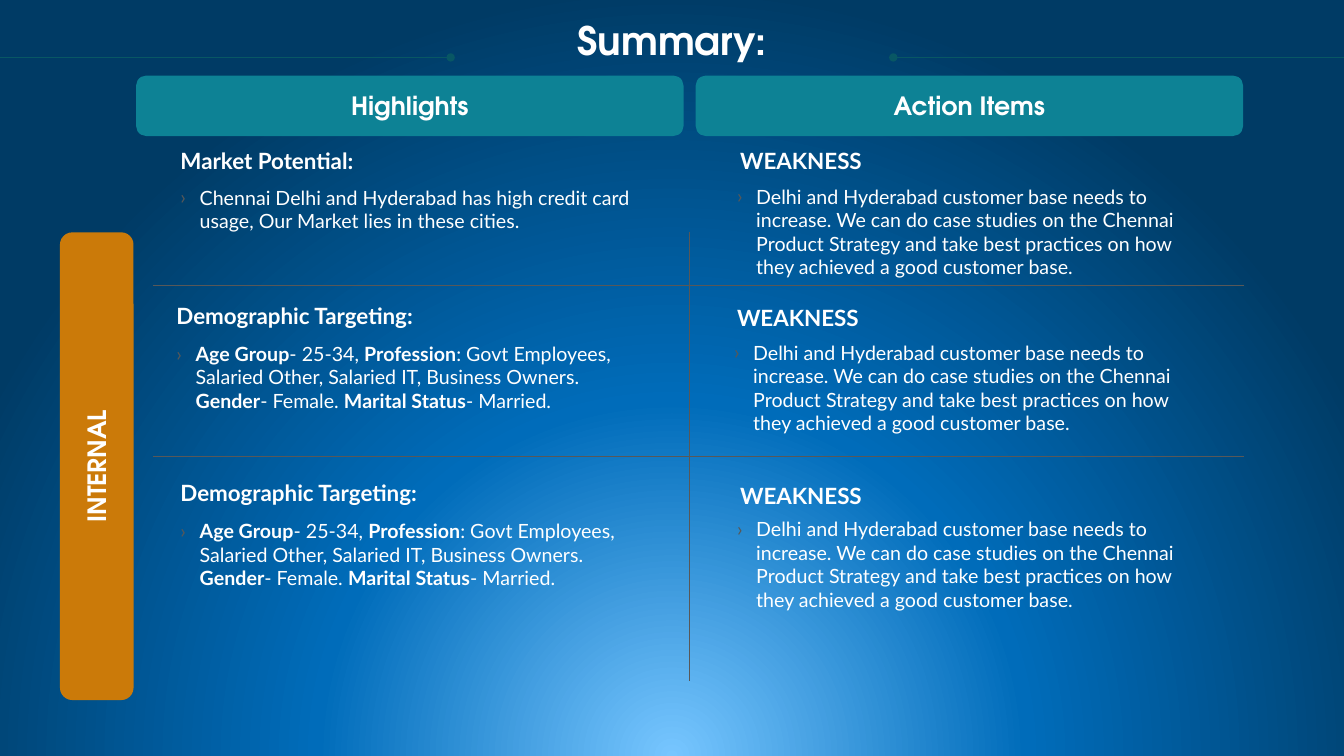
from pptx import Presentation
from pptx.dml.color import RGBColor
from pptx.enum.shapes import MSO_CONNECTOR, MSO_SHAPE
from pptx.enum.text import MSO_ANCHOR, MSO_AUTO_SIZE, PP_ALIGN
from pptx.oxml import parse_xml
from pptx.oxml.ns import nsdecls, qn
from pptx.util import Inches, Pt
from lxml import etree

STRAIGHT = MSO_CONNECTOR.STRAIGHT
ROUNDED = MSO_SHAPE.ROUNDED_RECTANGLE
CENTER = PP_ALIGN.CENTER
TOP, MIDDLE = MSO_ANCHOR.TOP, MSO_ANCHOR.MIDDLE
FIT_SHAPE = MSO_AUTO_SIZE.SHAPE_TO_FIT_TEXT

COLORS = {
    "glow": "77C6FF", "blue": "006CBA", "navy": "003B65", "teal": "0D8295",
    "dark teal": "085764", "orange": "CB7A09", "gray": "585858", "white": "FFFFFF",
}
HEADING_FONT, BODY_FONT = "TeX Gyre Adventor", "Lato"


def format_text(frame, size, font, anchor=TOP, inset=None):
    frame.word_wrap = True
    frame.vertical_anchor = anchor
    if inset is not None:
        frame.margin_left = frame.margin_right = inset
        frame.margin_top = frame.margin_bottom = inset
        frame.auto_size = FIT_SHAPE
    for run in frame.paragraphs[0].runs:
        run.font.size = Pt(size)
        run.font.name = font
        run.font.color.rgb = RGBColor.from_string(COLORS["white"])


def add_line(x1, y1, x2, y2, color):
    line = slide.shapes.add_connector(
        STRAIGHT, Inches(x1), Inches(y1), Inches(x2), Inches(y2))
    line.line.color.rgb = RGBColor.from_string(COLORS[color])
    line.line.width = Pt(0.5)
    etree.SubElement(line.element.spPr, qn("a:effectLst"))
    return line


prs = Presentation()
prs.slide_width, prs.slide_height = Inches(13.33), Inches(7.5)
slide = prs.slides.add_slide(prs.slide_layouts[5])

# Background: radial glow rising from the bottom edge
stops = "".join(
    f'<a:gs pos="{percent * 1000}"><a:srgbClr val="{COLORS[name]}"/></a:gs>'
    for percent, name in ((0, "glow"), (46, "blue"), (100, "navy")))
slide.element.cSld.insert(0, parse_xml(
    f'<p:bg {nsdecls("p", "a")}><p:bgPr><a:gradFill rotWithShape="1">'
    f'<a:gsLst>{stops}</a:gsLst><a:path path="circle">'
    '<a:fillToRect l="50000" t="130000" r="50000" b="-30000"/></a:path>'
    '</a:gradFill><a:effectLst/></p:bgPr></p:bg>'))

# Title with a dotted line on each side
title = slide.shapes.title
title.left, title.top = Inches(0.25), Inches(0.21)
title.width, title.height = Inches(12.83), Inches(0.42)
title.text_frame.text = "Summary:"
title_line = title.text_frame.paragraphs[0]
title_line.alignment = CENTER
title_line.line_spacing = 0.9
title_line.runs[0].font.bold = True
format_text(title.text_frame, 28, HEADING_FONT, inset=0)

for dot_x, edge_x in ((4.47, 0), (8.86, 13.33)):
    rule = add_line(dot_x, 0.57, edge_x, 0.57, "dark teal")
    etree.SubElement(rule.line._get_or_add_ln(), qn("a:headEnd"), type="oval")

# Column headers and side label
for label, x, y, width, height, color, rotation in (
        ("Highlights", 1.35, 0.75, 5.43, 0.6, "teal", 0),
        ("Action Items", 6.9, 0.75, 5.43, 0.6, "teal", 0),
        ("INTERNAL", -1.36, 4.26, 4.64, 0.73, "orange", 270)):
    banner = slide.shapes.add_shape(
        ROUNDED, Inches(x), Inches(y), Inches(width), Inches(height))
    banner.rotation = rotation
    banner.shadow.inherit = False
    banner.fill.solid()
    banner.fill.fore_color.rgb = RGBColor.from_string(COLORS[color])
    banner.line.fill.background()
    banner.text_frame.text = label
    banner.text_frame.paragraphs[0].alignment = CENTER
    banner.text_frame.paragraphs[0].runs[0].font.bold = True
    format_text(banner.text_frame, 18, HEADING_FONT, MIDDLE)

# Dividers
for y in (2.83, 4.53):
    add_line(1.52, y, 12.34, y, "gray")
add_line(6.84, 2.3, 6.84, 6.76, "gray")

# Contents: each finding is a list of (text, bold) pieces
market = [("Chennai Delhi and Hyderabad has high credit card usage, "
           "Our Market lies in these cities.", False)]
demographics = [
    ("Age Group", True), ("- 25-34, ", False), ("Profession", True),
    (": Govt Employees, Salaried Other, Salaried IT, Business Owners. ", False),
    ("Gender", True), ("- Female. ", False),
    ("Marital Status", True), ("- Married.", False)]
action = [("Delhi and Hyderabad customer base needs to increase. We can do case "
           "studies on the Chennai Product Strategy and take best practices on "
           "how they achieved a good customer base.", False)]

# heading, finding, heading left, heading top, list left, list top, list height
entries = (
    ("Market Potential:", market, 1.79, 1.46, 1.79, 1.84, 0.47),
    ("WEAKNESS", action, 7.34, 1.46, 7.31, 1.83, 0.94),
    ("Demographic Targeting:", demographics, 1.75, 3, 1.75, 3.39, 0.71),
    ("WEAKNESS", action, 7.31, 3.02, 7.28, 3.38, 0.94),
    ("Demographic Targeting:", demographics, 1.79, 4.75, 1.79, 5.15, 0.71),
    ("WEAKNESS", action, 7.34, 4.78, 7.31, 5.13, 0.94),
)
for heading, finding, heading_x, heading_y, list_x, list_y, list_height in entries:
    heading_box = slide.shapes.add_textbox(
        Inches(heading_x), Inches(heading_y), Inches(4.55), Inches(0.27))
    heading_box.text_frame.text = heading
    heading_box.text_frame.paragraphs[0].runs[0].font.bold = True
    format_text(heading_box.text_frame, 16, BODY_FONT, inset=0)

    finding_box = slide.shapes.add_textbox(
        Inches(list_x), Inches(list_y), Inches(4.55), Inches(list_height))
    bullet = finding_box.text_frame.paragraphs[0]
    for text, bold in finding:
        piece = bullet.add_run()
        piece.text = text
        piece.font.bold = bold
    format_text(finding_box.text_frame, 14, BODY_FONT, inset=0)

    # Hanging gray bullet
    bullet.space_before = Pt(12)
    properties = bullet._p.get_or_add_pPr()
    properties.set("marL", str(Inches(0.19)))
    properties.set("indent", str(-Inches(0.19)))
    bullet_color = etree.SubElement(properties, qn("a:buClr"))
    etree.SubElement(bullet_color, qn("a:srgbClr"), val=COLORS["gray"])
    etree.SubElement(properties, qn("a:buFont"), typeface=BODY_FONT)
    etree.SubElement(properties, qn("a:buChar"), char="›")

prs.save("out.pptx")
